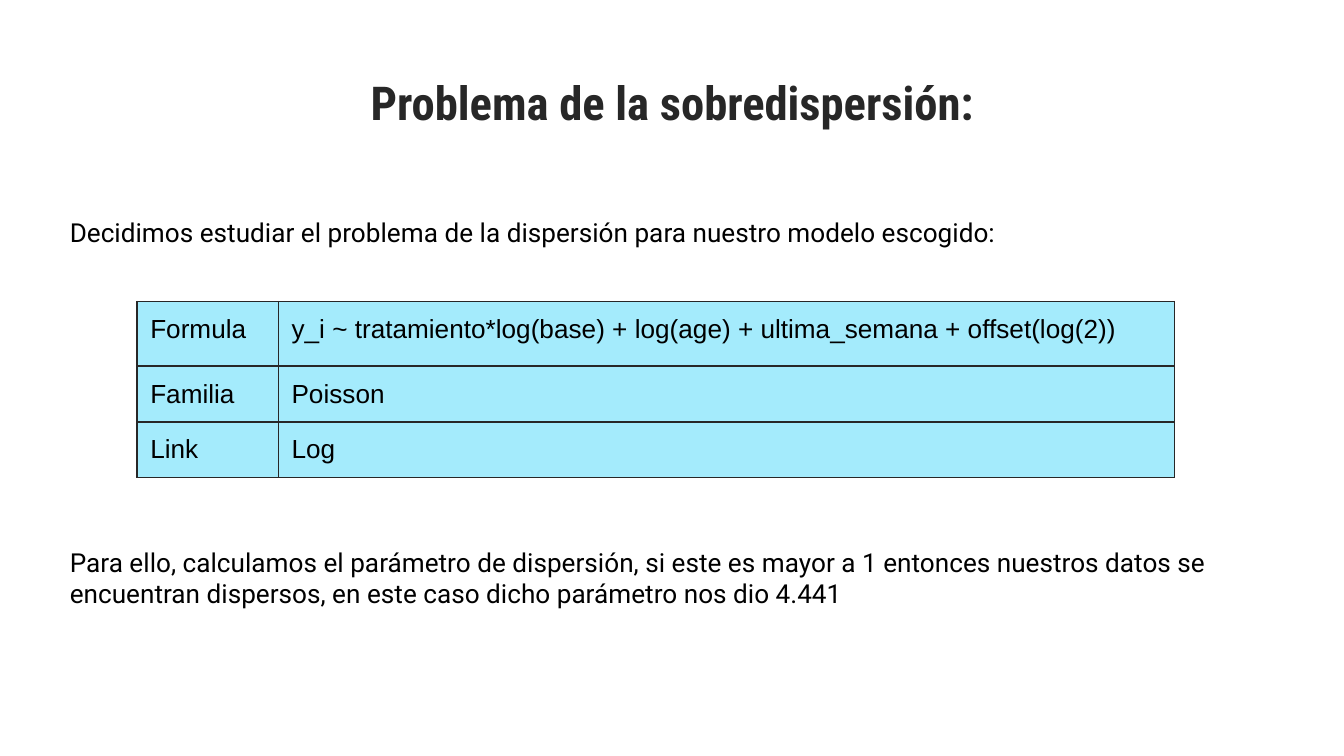
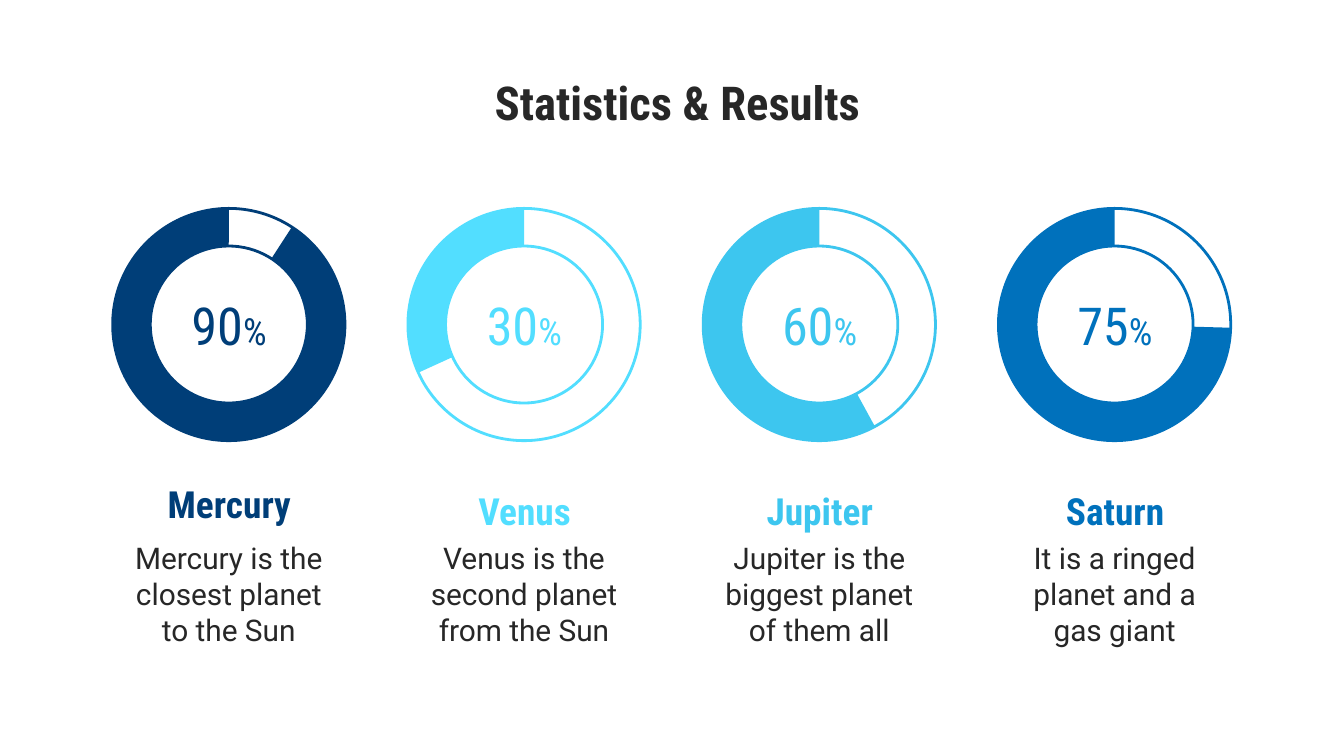
from lxml import etree
from pptx import Presentation
from pptx.dml.color import RGBColor
from pptx.enum.shapes import MSO_SHAPE
from pptx.enum.text import MSO_ANCHOR, MSO_AUTO_SIZE, PP_ALIGN
from pptx.oxml.ns import qn
from pptx.util import Cm, Pt

DONUT, BLOCK_ARC = MSO_SHAPE.DONUT, MSO_SHAPE.BLOCK_ARC
TOP, MIDDLE = MSO_ANCHOR.TOP, MSO_ANCHOR.MIDDLE
LEFT, CENTER = PP_ALIGN.LEFT, PP_ALIGN.CENTER
NO_AUTOFIT = MSO_AUTO_SIZE.NONE

COLORS = {
    "ink": "272727",
    "black": "000000",
    "cell": "A4EBFC",
    "navy": "003E78",
    "aqua": "52DEFF",
    "sky": "3DC6EF",
    "blue": "0071BC",
}
HEADING, BODY, TABLE = "Roboto Condensed", "Roboto", "Arial"
INSET = Cm(0.25)
TITLE_ONLY = 5

MODEL_ROWS = [
    ("Formula", "y_i ~ tratamiento*log(base) + log(age) + ultima_semana + offset(log(2))"),
    ("Familia", "Poisson"),
    ("Link", "Log"),
]
# Name, percentage, colour, start angle of the arc, top of the name, description
PLANETS = [
    ("Mercury", "90", "navy", 302.9, 8.71, "Mercury is the closest planet to the Sun"),
    ("Venus", "30", "aqua", 155.5, 8.86, "Venus is the second planet from the Sun"),
    ("Jupiter", "60", "sky", 61.4, 8.86, "Jupiter is the biggest planet of them all"),
    ("Saturn", "75", "blue", 1.6, 8.86, "It is a ringed planet and a gas giant"),
]
RING_SIZE, RING_TOP = 4.39, 3.94
RING_LEFT, RING_STEP = 2.13, 5.58
RING_THICKNESS = 0.162
ARC_END = 270
ANGLE_UNIT = 0.6  # one degree as an adjustment value


def rgb(name):
    return RGBColor.from_string(COLORS[name])


def place(left, top, width, height):
    return Cm(left), Cm(top), Cm(width), Cm(height)


def style_font(font, face, size, color, bold=False):
    font.name, font.size, font.bold = face, Pt(size), bold
    font.color.rgb = rgb(color)


def set_frame(frame, anchor=TOP):
    frame.word_wrap = True
    frame.auto_size = NO_AUTOFIT
    frame.vertical_anchor = anchor
    frame.margin_left = frame.margin_right = INSET
    frame.margin_top = frame.margin_bottom = INSET


def add_text(page, box, text, face, size, color, bold=False, align=LEFT, anchor=TOP):
    frame = page.shapes.add_textbox(*place(*box)).text_frame
    set_frame(frame, anchor)
    para = frame.paragraphs[0]
    para.text, para.alignment = text, align
    style_font(para.font, face, size, color, bold)
    return para


def add_page(deck, title, left):
    page = deck.slides.add_slide(deck.slide_layouts[TITLE_ONLY])
    shape = page.shapes.title
    shape.left, shape.top, shape.width, shape.height = place(left, 1.14, 22.86, 1.37)
    set_frame(shape.text_frame)
    para = shape.text_frame.paragraphs[0]
    para.text, para.alignment = title, CENTER
    style_font(para.font, HEADING, 25, "ink", True)
    return page


def add_borders(cell):
    properties = cell._tc.get_or_add_tcPr()
    for index, side in enumerate(("lnL", "lnR", "lnT", "lnB")):
        line = etree.Element(qn(f"a:{side}"), w=str(Pt(0.75)))
        fill = etree.SubElement(line, qn("a:solidFill"))
        etree.SubElement(fill, qn("a:srgbClr"), val=COLORS["ink"])
        properties.insert(index, line)


def add_model_table(page, left, top):
    widths, heights = (2.67, 16.94), (1.22, 0.89, 0.89)
    box = place(left, top, sum(widths), sum(heights))
    table = page.shapes.add_table(len(heights), len(widths), *box).table
    table.first_row = table.horz_banding = False
    for column, width in zip(table.columns, widths):
        column.width = Cm(width)
    for row, height, texts in zip(table.rows, heights, MODEL_ROWS):
        row.height = Cm(height)
        for cell, text in zip(row.cells, texts):
            cell.margin_left = cell.margin_right = INSET
            cell.margin_top = cell.margin_bottom = INSET
            cell.fill.solid()
            cell.fill.fore_color.rgb = rgb("cell")
            add_borders(cell)
            para = cell.text_frame.paragraphs[0]
            para.text = text
            style_font(para.font, TABLE, 14, "black")


def add_ring(page, left, top, color, start):
    group = page.shapes.add_group_shape()
    box = place(left, top, RING_SIZE, RING_SIZE)

    # Outlined track
    track = group.shapes.add_shape(DONUT, *box)
    track.shadow.inherit = False
    track.adjustments[0] = RING_THICKNESS
    track.fill.background()
    track.line.color.rgb = rgb(color)
    track.line.width = Pt(1.5)

    # Filled share
    arc = group.shapes.add_shape(BLOCK_ARC, *box)
    arc.shadow.inherit = False
    for index, value in enumerate((start * ANGLE_UNIT, ARC_END * ANGLE_UNIT, RING_THICKNESS)):
        arc.adjustments[index] = value
    arc.fill.solid()
    arc.fill.fore_color.rgb = rgb(color)
    arc.line.fill.background()


def add_planet(page, left, name, number, color, start, name_top, description):
    add_ring(page, left, RING_TOP, color, start)

    # Percentage inside the ring
    para = add_text(page, (left + 1.07, RING_TOP + 1.7, 2.26, 0.99), number,
                    HEADING, 28, color, align=CENTER, anchor=MIDDLE)
    span = para.add_run()
    span.text, span.font.size = "%", Pt(20)

    # Description and name
    add_text(page, (left, 9.96, RING_SIZE, 2.67), description,
             BODY, 16, "ink", align=CENTER)
    para = add_text(page, (left + 0.12, name_top, 4.17, 1.32), name,
                    HEADING, 20, color, bold=True, align=CENTER)
    para.line_spacing = 1.15


def build_dispersion(deck):
    page = add_page(deck, "Problema de la sobredispersión:", 1.27)
    add_text(page, (1.07, 3.84, 18.87, 1.7),
             "Decidimos estudiar el problema de la dispersión para nuestro modelo escogido:",
             BODY, 14, "black")
    add_model_table(page, 2.59, 5.7)
    add_text(page, (1.07, 10.08, 23.47, 2.31),
             "Para ello, calculamos el parámetro de dispersión, si este es mayor a 1 "
             "entonces nuestros datos se encuentran dispersos, en este caso dicho "
             "parámetro nos dio 4.441",
             BODY, 14, "black")


def build_statistics(deck):
    page = add_page(deck, "Statistics & Results", 1.37)
    for index, planet in enumerate(PLANETS):
        add_planet(page, RING_LEFT + index * RING_STEP, *planet)


def main():
    deck = Presentation()
    deck.slide_width, deck.slide_height = Cm(25.4), Cm(14.29)
    build_dispersion(deck)
    build_statistics(deck)
    deck.save("out.pptx")


if __name__ == "__main__":
    main()
